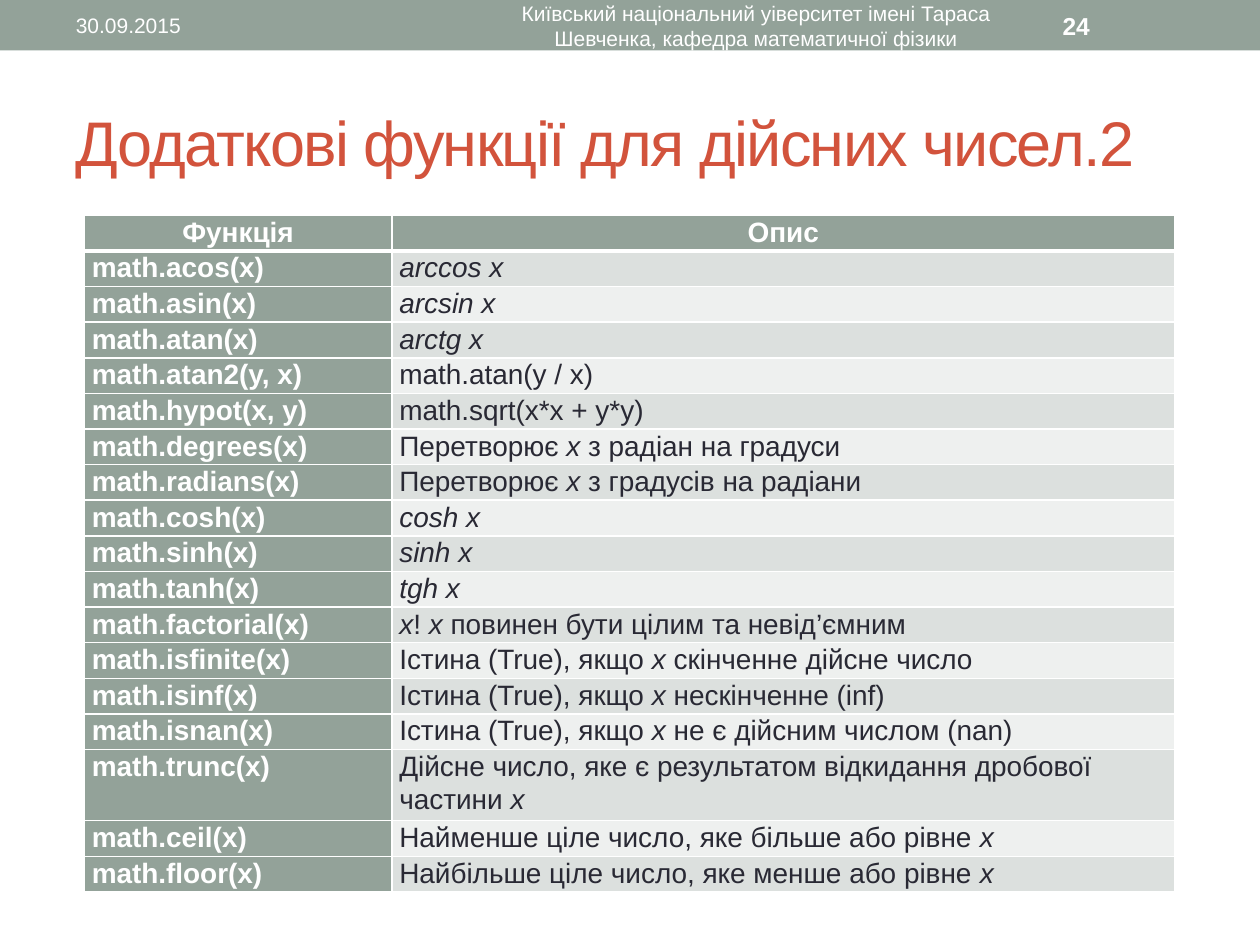
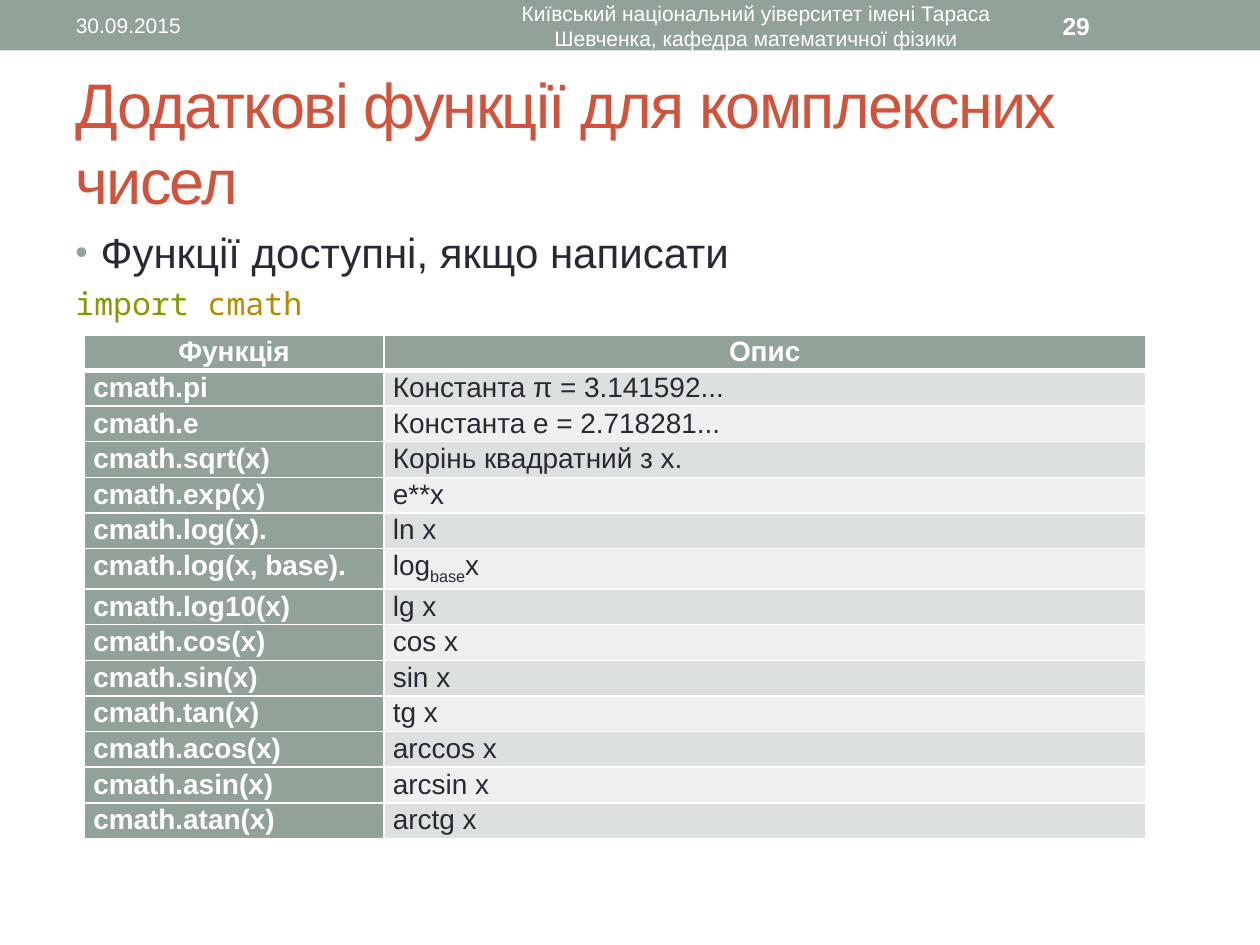
"""Build two slides listing extra real and complex functions in Python."""
from dataclasses import dataclass

from lxml import etree
from pptx import Presentation
from pptx.dml.color import RGBColor
from pptx.enum.shapes import MSO_SHAPE
from pptx.enum.text import MSO_ANCHOR, PP_ALIGN
from pptx.oxml.ns import qn
from pptx.util import Cm, Pt

RECTANGLE = MSO_SHAPE.RECTANGLE
MIDDLE, TOP = MSO_ANCHOR.MIDDLE, MSO_ANCHOR.TOP
LEFT, CENTER = PP_ALIGN.LEFT, PP_ALIGN.CENTER


@dataclass(frozen=True)
class Theme:
    sage: str = "93A299"
    red: str = "D2533C"
    ink: str = "292934"
    white: str = "FFFFFF"
    stripes: tuple = ("EEF0EF", "DCE0DE")
    keyword: str = "859900"
    module: str = "B58900"
    font: str = "Arial"
    code_font: str = "Noto Sans Mono"
    title_size: int = 36
    body_size: int = 24
    code_size: int = 18
    table_size: int = 16
    number_size: int = 14
    footer_size: int = 12


theme = Theme()


def add_box(page, left, top, width, height, anchor=MIDDLE):
    box = page.shapes.add_textbox(Cm(left), Cm(top), Cm(width), Cm(height))
    box.text_frame.word_wrap = True
    box.text_frame.vertical_anchor = anchor
    return box.text_frame


def add_span(para, text, size, color, font=theme.font, bold=False, **attributes):
    span = para.add_run()
    span.text = text
    span.font.size = Pt(size)
    span.font.name = font
    span.font.bold = bold
    span.font.color.rgb = RGBColor.from_string(color)
    for name, value in attributes.items():
        span._r.get_or_add_rPr().set(name, value)


# In the tables, text between two bars takes the slide's accent.
HEADINGS = ("Функція", "Опис")
REAL_FUNCTIONS = [
    ("math.acos(x)", "|arccos x|"),
    ("math.asin(x)", "|arcsin x|"),
    ("math.atan(x)", "|arctg x|"),
    ("math.atan2(y, x)", "math.atan(y / x)"),
    ("math.hypot(x, y)", "math.sqrt(x*x + y*y)"),
    ("math.degrees(x)", "Перетворює |x |з радіан на градуси"),
    ("math.radians(x)", "Перетворює |x |з градусів на радіани"),
    ("math.cosh(x)", "|cosh x|"),
    ("math.sinh(x)", "|sinh x|"),
    ("math.tanh(x)", "|tgh x|"),
    ("math.factorial(x)", "|x|! |x |повинен бути цілим та невід’ємним"),
    ("math.isfinite(x)", "Істина (True), якщо |x |скінченне дійсне число"),
    ("math.isinf(x)", "Істина (True), якщо |x |нескінченне (inf)"),
    ("math.isnan(x)", "Істина (True), якщо |x |не є дійсним числом (nan)"),
    ("math.trunc(x)", "Дійсне число, яке є результатом відкидання дробової частини |x|"),
    ("math.ceil(x)", "Найменше ціле число, яке більше або рівне |x|"),
    ("math.floor(x)", "Найбільше ціле число, яке менше або рівне |x|"),
]
COMPLEX_FUNCTIONS = [
    ("cmath.pi", "Константа π = 3.141592..."),
    ("cmath.e", "Константа e = 2.718281..."),
    ("cmath.sqrt(x)", "Корінь квадратний з x."),
    ("cmath.exp(x)", "e**x"),
    ("cmath.log(x).", "ln x"),
    ("cmath.log(x, base).", "log|base|x"),
    ("cmath.log10(x)", "lg x"),
    ("cmath.cos(x)", "cos x"),
    ("cmath.sin(x)", "sin x"),
    ("cmath.tan(x)", "tg x"),
    ("cmath.acos(x)", "arccos x"),
    ("cmath.asin(x)", "arcsin x"),
    ("cmath.atan(x)", "arctg x"),
]
PAGES = [
    ("Додаткові функції для дійсних чисел.2", "24", REAL_FUNCTIONS,
     4.34, (6.2, 15.78), 0.15, {"i": "1"}, False),
    ("Додаткові функції для комплексних чисел", "29", COMPLEX_FUNCTIONS,
     6.75, (6.04, 15.35), 0.18, {"baseline": "-25000"}, True),
]
DEPARTMENT = ("Київський національний уіверситет імені Тараса Шевченка, "
              "кафедра математичної фізики")
ROW_HEIGHT = 0.5
LINE_SPACING = 1.06

deck = Presentation()
deck.slide_width, deck.slide_height = Cm(25.4), Cm(19.05)

for title, number, functions, table_top, widths, inset, accent, has_import in PAGES:
    page = deck.slides.add_slide(deck.slide_layouts[6])
    band = page.shapes.add_shape(RECTANGLE, 0, 0, deck.slide_width, Cm(1.02))
    band.shadow.inherit = False
    band.fill.solid()
    band.fill.fore_color.rgb = RGBColor.from_string(theme.sage)
    band.line.fill.background()

    para = add_box(page, 1.27, 1.48, 22.86, 2.74).paragraphs[0]
    add_span(para, title, theme.title_size, theme.red, spc="-94")

    for text, left, width, size, align, bold in (
        ("30.09.2015", 1.28, 8.05, theme.footer_size, LEFT, False),
        (DEPARTMENT, 9.53, 11.43, theme.footer_size, CENTER, False),
        (number, 21.17, 2.97, theme.number_size, LEFT, True),
    ):
        para = add_box(page, left, 0.06, width, 0.91).paragraphs[0]
        para.alignment = align
        add_span(para, text, size, theme.white, bold=bold)

    if has_import:
        body = add_box(page, 1.27, 4.45, 22.86, 13.54, TOP)
        para = body.paragraphs[0]
        properties = para._p.get_or_add_pPr()
        properties.set("marL", str(Cm(0.51)))
        properties.set("indent", str(Cm(-0.51)))
        bullet_color = etree.SubElement(properties, qn("a:buClr"))
        etree.SubElement(bullet_color, qn("a:srgbClr"), val=theme.sage)
        etree.SubElement(properties, qn("a:buSzPct"), val="85000")
        etree.SubElement(properties, qn("a:buFont"), typeface=theme.font)
        etree.SubElement(properties, qn("a:buChar"), char="•")
        add_span(para, "Функції доступні, якщо написати", theme.body_size, theme.ink)
        para = body.add_paragraph()
        para.space_before = Pt(4)
        add_span(para, "import ", theme.code_size, theme.keyword, theme.code_font)
        add_span(para, "cmath", theme.code_size, theme.module, theme.code_font)

    rows = [HEADINGS, *functions]
    table = page.shapes.add_table(
        len(rows), len(widths), Cm(1.7), Cm(table_top),
        Cm(sum(widths)), Cm(ROW_HEIGHT * len(rows))).table
    for column, width in zip(table.columns, widths):
        column.width = Cm(width)
    for row_index, row in enumerate(rows):
        table.rows[row_index].height = Cm(ROW_HEIGHT)
        for column_index, text in enumerate(row):
            cell = table.cell(row_index, column_index)
            is_heading = row_index == 0 or column_index == 0
            cell.margin_left = cell.margin_right = Cm(inset)
            cell.margin_top = cell.margin_bottom = 0

            heavy_side = {0: "lnB", 1: "lnT"}.get(row_index)
            for side in ("lnL", "lnR", "lnT", "lnB"):
                weight = Pt(3 if side == heavy_side else 1)
                border = etree.SubElement(
                    cell._tc.get_or_add_tcPr(), qn(f"a:{side}"), w=str(weight))
                border_fill = etree.SubElement(border, qn("a:solidFill"))
                etree.SubElement(border_fill, qn("a:srgbClr"), val=theme.white)
            cell.fill.solid()
            cell.fill.fore_color.rgb = RGBColor.from_string(
                theme.sage if is_heading else theme.stripes[row_index % 2])

            para = cell.text_frame.paragraphs[0]
            para.alignment = CENTER if row_index == 0 else LEFT
            para.line_spacing = LINE_SPACING
            for part_index, part in enumerate(text.split("|")):
                if part:
                    add_span(para, part, theme.table_size,
                             theme.white if is_heading else theme.ink,
                             bold=is_heading, **(accent if part_index % 2 else {}))

deck.save("out.pptx")
